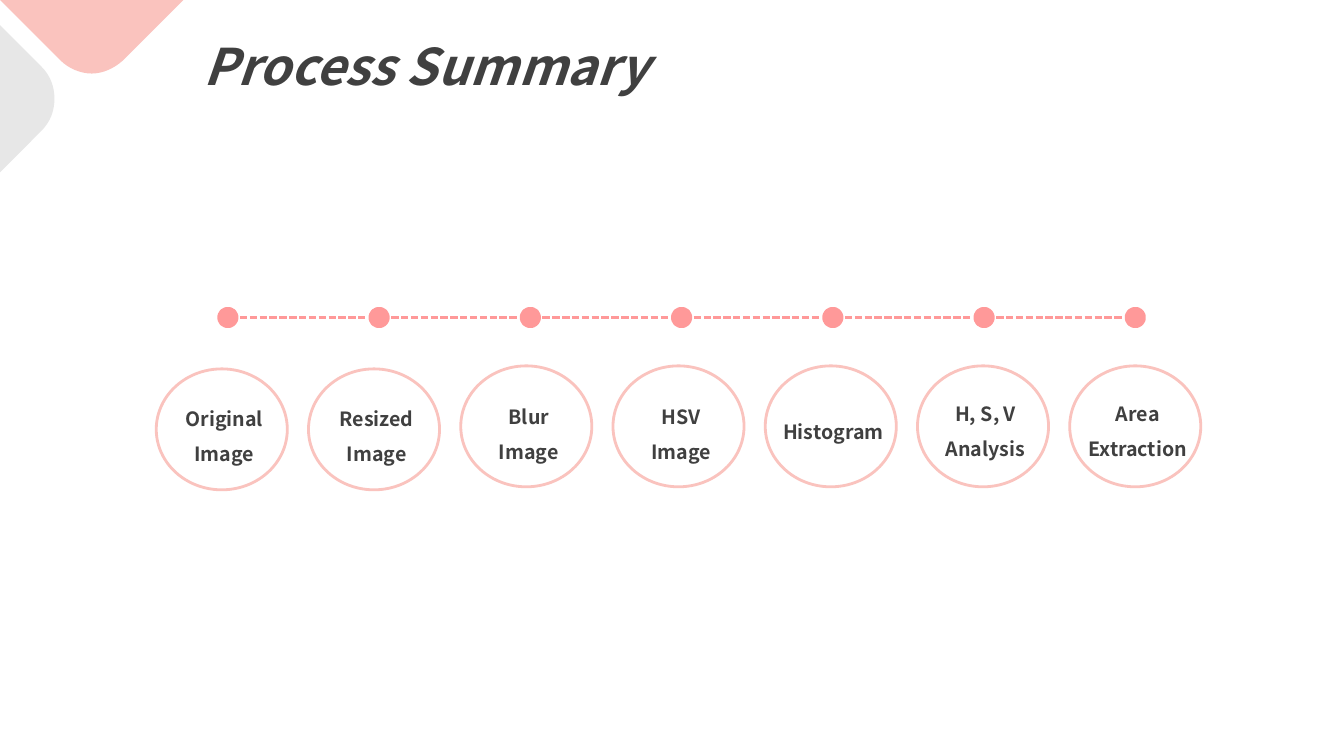
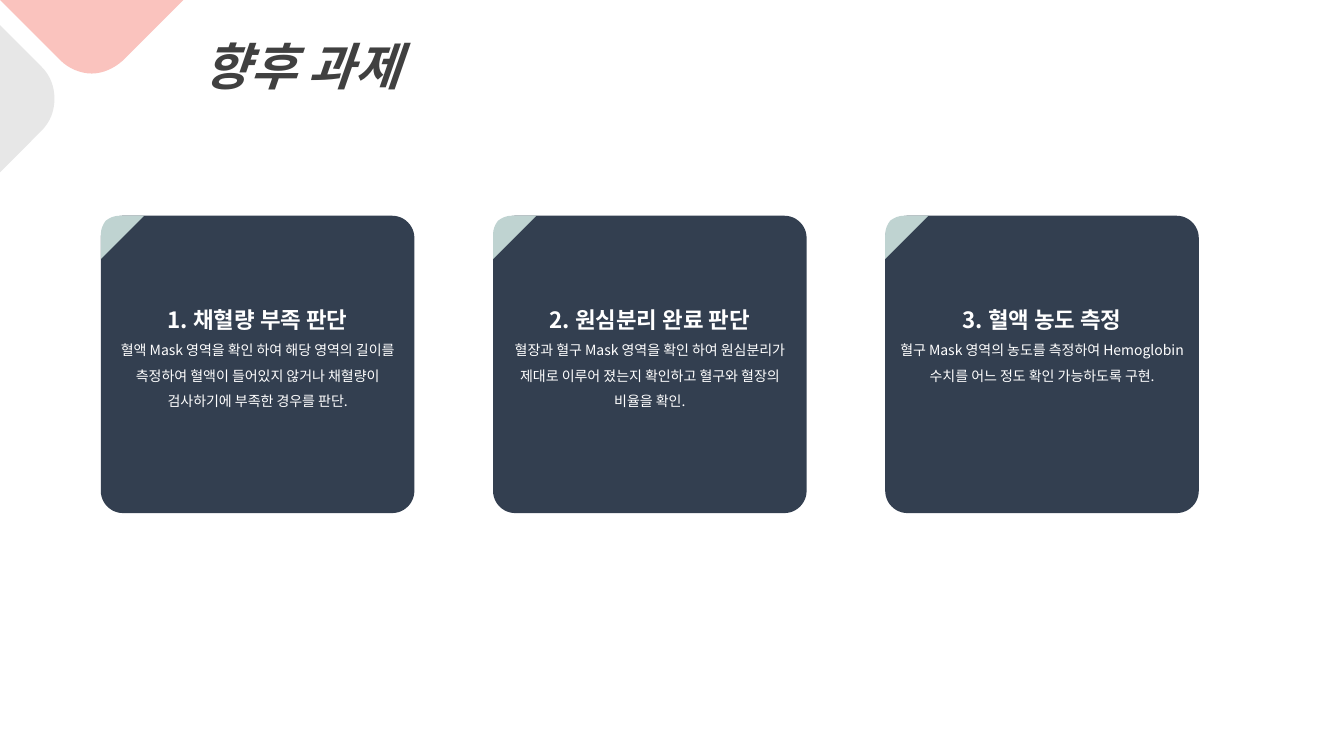
from pptx import Presentation
from pptx.dml.color import RGBColor
from pptx.enum.dml import MSO_LINE
from pptx.enum.shapes import MSO_CONNECTOR, MSO_SHAPE
from pptx.enum.text import MSO_ANCHOR, MSO_AUTO_SIZE, PP_ALIGN
from pptx.oxml.ns import qn
from pptx.util import Inches, Pt
from lxml.etree import SubElement

PINK = RGBColor(0xFA, 0xC3, 0xBE)
CORAL = RGBColor(0xFF, 0x99, 0x99)
GREY = RGBColor(0xE7, 0xE7, 0xE7)
DARK = RGBColor(0x40, 0x40, 0x40)
NAVY = RGBColor(0x33, 0x3F, 0x50)
MINT = RGBColor(0xBF, 0xD3, 0xD1)
WHITE = RGBColor(0xFF, 0xFF, 0xFF)
FONT = "Noto Sans CJK KR"

TITLE = {"size": Pt(36), "bold": True, "italic": True}
LABEL = {"size": Pt(14), "bold": True}
HEADING = {"size": Pt(16), "bold": True}
BODY = {"size": Pt(10), "bold": False}

PINK_CORNER = [(0, 0), (1.82, 0), (1.22, 0.6),
               [(1.13, 0.68), (1.02, 0.73), (0.91, 0.73)],
               [(0.8, 0.73), (0.68, 0.68), (0.6, 0.6)]]
GREY_CORNER = [(0, 0.25), (0.41, 0.66),
               [(0.5, 0.75), (0.54, 0.86), (0.54, 0.98)],
               [(0.54, 1.1), (0.5, 1.21), (0.41, 1.3)], (0, 1.71)]
CARD_CORNER = [(0, 0.43), (0, 0.19),
               [(0, 0.13), (0.02, 0.09), (0.05, 0.05)],
               [(0.09, 0.02), (0.13, 0), (0.19, 0)], (0.43, 0)]

DOT_X, DOT_Y, DOT_STEP, DOT_SIZE, DOT_GAP = 2.26, 3.15, 1.5, 0.08, 0.12
RING_X, RING_STEP, RING_W, RING_H = 1.55, 1.51, 1.3, 1.2
STEPS = [(("Original", "Image"), 3.66, 3.87),
         (("Resized", "Image"), 3.66, 3.87),
         (("Blur", "Image"), 3.63, 3.85),
         (("HSV", "Image"), 3.63, 3.85),
         (("Histogram",), 3.63, 4),
         (("H, S, V", "Analysis"), 3.63, 3.82),
         (("Area", "Extraction"), 3.63, 3.82)]

CARD_X, CARD_Y, CARD_STEP, CARD_W, CARD_H = 1, 2.14, 3.89, 3.11, 2.95
CARDS = [
    ("1. 채혈량 부족 판단",
     "혈액 Mask 영역을 확인 하여 해당 영역의 길이를 측정하여 혈액이 "
     "들어있지 않거나 채혈량이 검사하기에 부족한 경우를 판단."),
    ("2. 원심분리 완료 판단",
     "혈장과 혈구 Mask 영역을 확인 하여 원심분리가 제대로 이루어 졌는지 "
     "확인하고 혈구와 혈장의 비율을 확인."),
    ("3. 혈액 농도 측정",
     "혈구 Mask 영역의 농도를 측정하여 Hemoglobin 수치를 어느 정도 "
     "확인 가능하도록 구현."),
]


def box(*lengths):
    return [Inches(v) for v in lengths]


def write(tf, lines, color, align):
    tf.word_wrap = True
    tf.auto_size = MSO_AUTO_SIZE.NONE
    tf.vertical_anchor = MSO_ANCHOR.TOP
    for i, (text, style) in enumerate(lines):
        p = tf.add_paragraph() if i else tf.paragraphs[0]
        p.alignment, p.line_spacing = align, 1.5
        r = p.add_run()
        r.text = text
        for name, value in {"name": FONT, **style}.items():
            setattr(r.font, name, value)
        r.font.color.rgb = color
        r.font._element.set("kern", "0")
        SubElement(r.font._element, qn("a:ea"), typeface=FONT)


def add_text(s, at, lines, color, inset=0.1):
    tf = s.shapes.add_textbox(*box(*at)).text_frame
    tf.margin_left = tf.margin_right = Inches(inset)
    write(tf, lines, color, PP_ALIGN.CENTER)


def paint(sp, fill, line=None, width=0):
    sp.shadow.inherit = False
    sp.fill.solid()
    sp.fill.fore_color.rgb = fill
    if line is None:
        sp.line.fill.background()
    else:
        sp.line.color.rgb = line
        sp.line.width = Pt(width)


def add_preset(s, kind, at, fill, line=None, width=0):
    sp = s.shapes.add_shape(kind, *box(*at))
    paint(sp, fill, line, width)
    return sp


def bend(segments):
    curve = segments[0]
    curve.tag = qn("a:cubicBezTo")
    for segment in segments[1:]:
        curve.append(segment[0])
        segment.getparent().remove(segment)


def add_outline(s, steps, fill, x=0, y=0):
    parts = [step if isinstance(step, list) else [step] for step in steps]
    points = [(Inches(x + px), Inches(y + py)) for part in parts for px, py in part]
    fb = s.shapes.build_freeform(*points[0])
    fb.add_line_segments(points[1:], close=True)
    sp = fb.convert_to_shape()
    segments = list(sp._element.iter(qn("a:lnTo")))
    for part in parts[1:]:
        if len(part) == 3:
            bend(segments[:3])
        segments = segments[len(part):]
    paint(sp, fill)


def add_dash(s, x1, x2, y):
    line = s.shapes.add_connector(MSO_CONNECTOR.STRAIGHT, *box(x1, y, x2, y))
    line.line.color.rgb = CORAL
    line.line.width = Pt(1.75)
    line.line.dash_style = MSO_LINE.SQUARE_DOT
    SubElement(line._element.spPr, qn("a:effectLst"))


def add_slide(prs, title):
    s = prs.slides.add_slide(prs.slide_layouts[5])
    add_outline(s, PINK_CORNER, PINK)
    add_outline(s, GREY_CORNER, GREY)
    sp = s.shapes.title
    sp.left, sp.top, sp.width, sp.height = box(1.92, 0, 7.76, 1.01)
    write(sp.text_frame, [(title, TITLE)], DARK, PP_ALIGN.LEFT)
    return s


def add_timeline(s):
    for i, (words, ring_y, label_y) in enumerate(STEPS):
        x = DOT_X + i * DOT_STEP
        half = DOT_SIZE / 2
        add_preset(s, MSO_SHAPE.OVAL, (x - half, DOT_Y - half, DOT_SIZE, DOT_SIZE),
                   CORAL, CORAL, 9.5)
        if i < len(STEPS) - 1:
            add_dash(s, x + DOT_GAP, x + DOT_STEP - DOT_GAP, DOT_Y)
        left = RING_X + i * RING_STEP
        add_preset(s, MSO_SHAPE.OVAL, (left, ring_y, RING_W, RING_H), WHITE, PINK, 2)
        add_text(s, (left, label_y, 1.35, 0.41 * len(words)),
                 [(word, LABEL) for word in words], DARK)


def add_card(s, x, heading, body):
    card = add_preset(s, MSO_SHAPE.ROUNDED_RECTANGLE,
                      (x, CARD_Y, CARD_W, CARD_H), NAVY)
    card.adjustments[0] = 0.075
    add_outline(s, CARD_CORNER, MINT, x, CARD_Y)
    add_text(s, (x, 2.86, CARD_W, 1.26), [(heading, HEADING), (body, BODY)],
             WHITE, 0.12)


def main():
    prs = Presentation()
    prs.slide_width, prs.slide_height = box(13.33, 7.5)
    add_timeline(add_slide(prs, "Process Summary"))
    s = add_slide(prs, "향후 과제")
    for i, (heading, body) in enumerate(CARDS):
        add_card(s, CARD_X + i * CARD_STEP, heading, body)
    prs.save("out.pptx")


if __name__ == "__main__":
    main()
